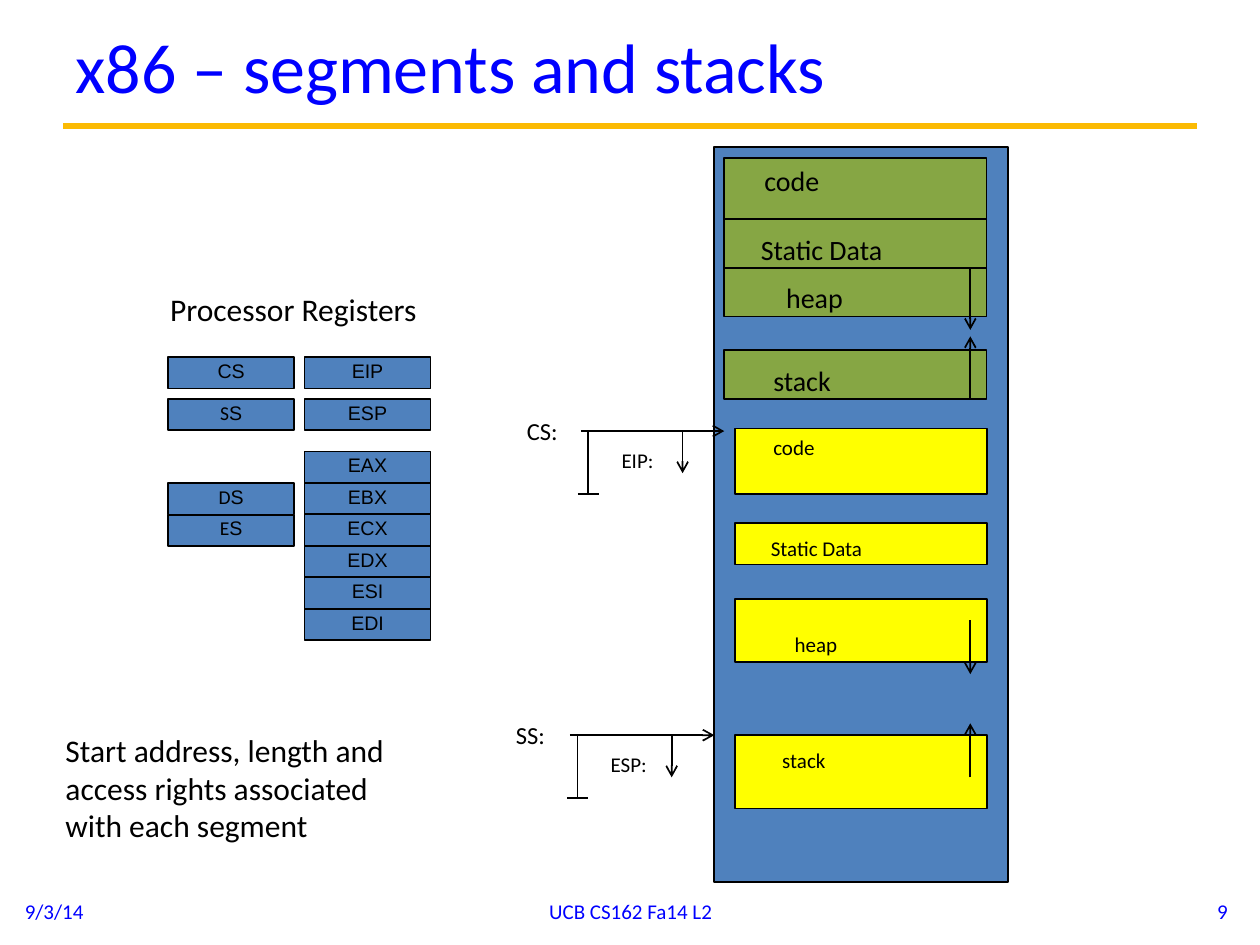
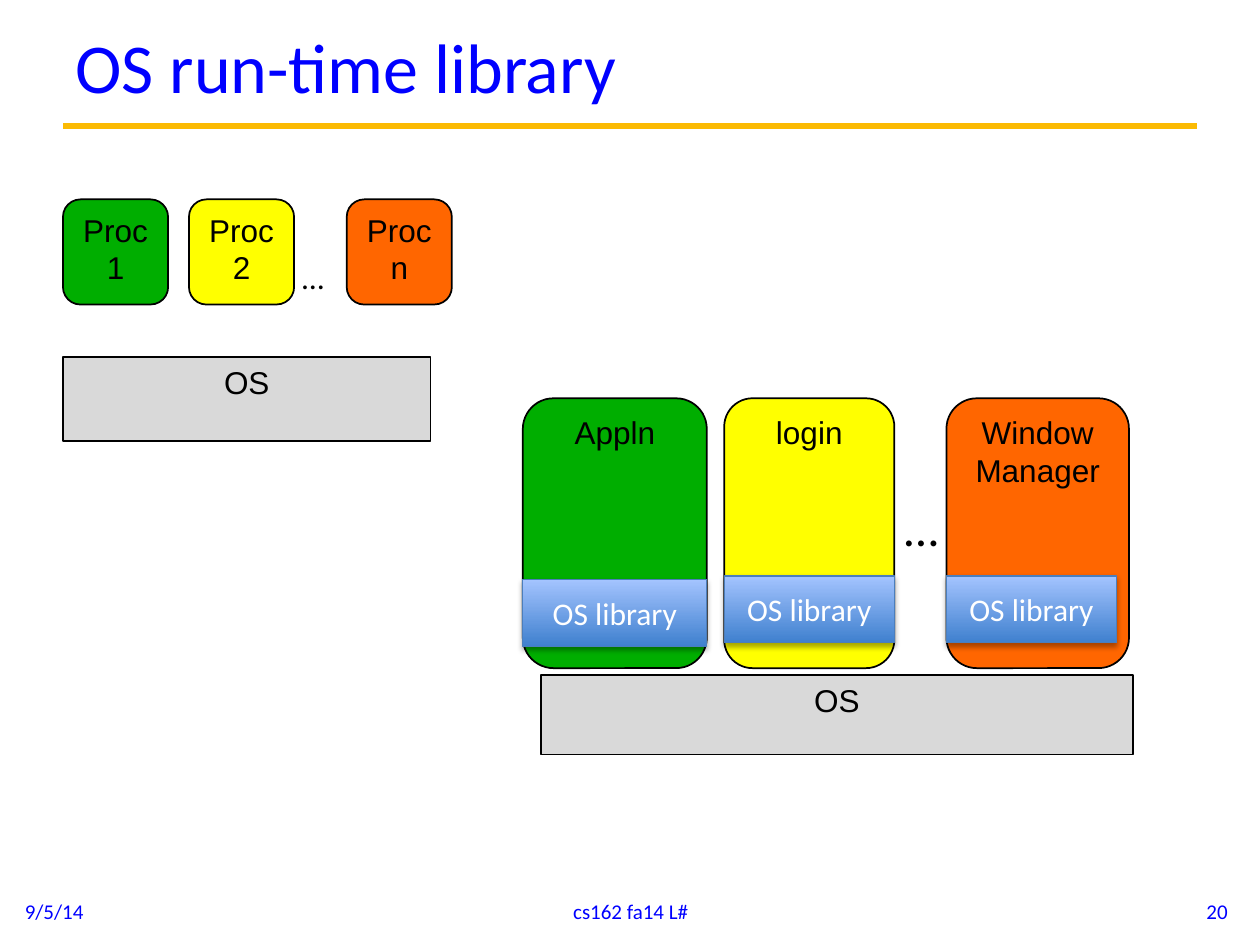
import pptx
import pptx.dml.color
import pptx.enum.shapes
import pptx.enum.text
import pptx.oxml
import pptx.oxml.ns
import pptx.oxml.xmlchemy
import pptx.util

Cm, Pt = pptx.util.Cm, pptx.util.Pt
KIND = pptx.enum.shapes.MSO_SHAPE
ALIGN = pptx.enum.text.PP_ALIGN
ANCHOR = pptx.enum.text.MSO_ANCHOR
qn = pptx.oxml.ns.qn
node = pptx.oxml.xmlchemy.OxmlElement

# Shared look
HUE = {
    "title": "0000FF", "rule": "FBBA03", "ink": "000000", "white": "FFFFFF",
    "blue": "4F81BD", "olive": "86A644", "yellow": "FFFF00", "green": "00AE00",
    "orange": "FF6600", "grey": "D9D9D9",
    "deep": "3F80CE", "pale": "A4C4FF", "edge": "4B7EBC",
}
FOOT = [(0.25, 5.92, ALIGN.LEFT), (8.69, 8.05, ALIGN.CENTER),
        (19.08, 5.92, ALIGN.RIGHT)]

# Segments slide, lengths in cm
SEGS = {"title": "x86 – segments and stacks",
        "foot": ("9/3/14", "UCB CS162 Fa14 L2", "9")}
REG_W, REG_H = 2.54, 0.635
SEG_X, GEN_X = 3.39, 6.14
REGS = [  # column, top of first, names stacked downward
    (SEG_X, 7.2, ["CS"]), (SEG_X, 8.04, ["SS"]), (SEG_X, 9.74, ["DS", "ES"]),
    (GEN_X, 7.2, ["EIP"]), (GEN_X, 8.04, ["ESP"]),
    (GEN_X, 9.1, ["EAX", "EBX", "ECX", "EDX", "ESI", "EDI"]),
]
MEMORY = (14.4, 2.97, 5.92, 14.81)
BLOCKS = [  # fill, left, width, text size, (top, height, label, its left, top, width)
    ("olive", 14.6, 5.29, 16, [
        (3.18, 1.24, "code", 15.16, 3.18, 1.98),
        (4.42, 0.98, "Static Data", 15.09, 4.57, 3.76),
        (5.4, 0.98, "heap", 15.6, 5.54, 2.03),
        (7.06, 0.98, "stack", 15.34, 7.21, 2.13)]),
    ("yellow", 14.82, 5.08, 12, [
        (8.64, 1.32, "code", 15.34, 8.64, 1.65),
        (10.54, 0.84, "Static Data", 15.29, 10.67, 2.97),
        (12.07, 1.27, "heap", 15.77, 12.6, 1.68),
        (14.82, 1.48, "stack", 15.52, 14.94, 1.73)]),
]
GROW_X = 19.56
GROW = [(8.04, 6.78), (5.4, 6.65), (15.67, 14.58), (12.5, 13.59)]
BASES = [("CS:", "EIP:", 11.86, 8.69, 14.6), ("SS:", "ESP:", 11.64, 14.82, 14.4)]
NOTES = [
    ("Processor Registers", (3.18, 5.72, 6.78, 1.02)),
    ("Start address, length and access rights associated with each segment",
     (1.07, 14.61, 7.82, 2.57)),
]

# Library slide, lengths in cm
LIBS = {"title": "OS run-time library", "foot": ("9/5/14", "cs162 fa14 L#", "20")}
KERNELS = [(1.27, 7.2, 7.41, 1.69), (10.9, 13.61, 11.94, 1.6)]
PROCS = [("Proc 1", "green", 1.27), ("Proc 2", "yellow", 3.81),
         ("Proc n", "orange", 6.99)]
APPS = [  # name, fill, left, width, library top, library width
    ("Appln", "green", 10.54, 3.71, 11.68, 3.71),
    ("login", "yellow", 14.6, 3.43, 11.61, 3.43),
    ("Window Manager", "orange", 19.08, 3.68, 11.61, 3.43)]
DOTS = [(18, (5.84, 5.08, 1.14, 1.02)), (28, (17.98, 9.91, 1.65, 1.45))]


def rgb(hue):
    return pptx.dml.color.RGBColor.from_string(HUE[hue])


def cm(nums):
    return [Cm(n) for n in nums]


def style(par, size, hue="ink", face="Calibri", align=ALIGN.LEFT):
    par.alignment = align
    par.font.size, par.font.name = Pt(size), face
    par.font.color.rgb = rgb(hue)


def label(slide, text, at, size, hue="ink", align=ALIGN.LEFT, anchor=ANCHOR.TOP):
    frame = slide.shapes.add_textbox(*cm(at)).text_frame
    frame.word_wrap, frame.vertical_anchor = True, anchor
    frame.text = text
    style(frame.paragraphs[0], size, hue, align=align)


def block(slide, at, fill, text="", size=18, kind=KIND.RECTANGLE):
    shape = slide.shapes.add_shape(kind, *cm(at))
    shape.shadow.inherit = False
    shape.fill.solid()
    shape.fill.fore_color.rgb = rgb(fill)
    shape.line.color.rgb, shape.line.width = rgb("ink"), Pt(1)
    if text:
        shape.text_frame.text = text
        shape.text_frame.vertical_anchor = ANCHOR.TOP
        style(shape.text_frame.paragraphs[0], size, face="Arial", align=ALIGN.CENTER)
    return shape


def line(slide, ends, arrow=False, hue="ink", width=1):
    kind = pptx.enum.shapes.MSO_CONNECTOR.STRAIGHT
    wire = slide.shapes.add_connector(kind, *cm(ends))
    wire.line.color.rgb, wire.line.width = rgb(hue), Pt(width)
    props = wire._element.spPr
    if arrow:
        tail = node("a:tailEnd")
        tail.set("type", "arrow")
        props.find(qn("a:ln")).append(tail)
    props.append(node("a:effectLst"))


def start(deck, page):
    """Add a slide with title, rule and footer."""
    slide = deck.slides.add_slide(deck.slide_layouts[5])
    line(slide, (1.27, 2.54, 24.13, 2.54), hue="rule", width=3.75)
    title = slide.shapes.title
    title.left, title.top, title.width, title.height = cm((1.27, 0.1, 22.86, 2.44))
    title.text_frame.text = page["title"]
    title.text_frame.vertical_anchor = ANCHOR.MIDDLE
    style(title.text_frame.paragraphs[0], 40, "title")
    for text, (x, w, align) in zip(page["foot"], FOOT):
        label(slide, text, (x, 17.86, w, 1.02), 12, "title", align, ANCHOR.MIDDLE)
    return slide


def library(slide, at):
    """Glossy box with a soft shadow below."""
    shape = block(slide, at, "deep", "OS library")
    shape.fill.gradient()
    shape.fill.gradient_angle = 90
    for stop, hue in zip(shape.fill.gradient_stops, ("deep", "pale")):
        stop.color.rgb = rgb(hue)
    shape.line.color.rgb, shape.line.width = rgb("edge"), Pt(0.75)
    shape.text_frame.vertical_anchor = ANCHOR.MIDDLE
    style(shape.text_frame.paragraphs[0], 18, "white", align=ALIGN.CENTER)
    shade = pptx.oxml.parse_xml(
        f'<a:outerShdw {pptx.oxml.ns.nsdecls("a")} blurRad="40000" dist="23000" '
        'dir="5400000" rotWithShape="0"><a:srgbClr val="000000">'
        '<a:alpha val="35000"/></a:srgbClr></a:outerShdw>')
    shape._element.spPr.find(qn("a:effectLst")).append(shade)


def segments(deck):
    slide = start(deck, SEGS)
    # Registers
    for x, top, names in REGS:
        for i, name in enumerate(names):
            box = block(slide, (x, top + i * REG_H, REG_W, REG_H), "blue", name, 11.2)
            par = box.text_frame.paragraphs[0]
            par.line_spacing = 0.8
            if name in ("SS", "DS", "ES"):
                par.runs[0].text = name[0]
                par.runs[0].font.name = "Calibri"
                par.add_run().text = name[1]
    # Memory and its segments
    block(slide, MEMORY, "blue")
    for fill, x, w, size, rows in BLOCKS:
        for top, h, text, tx, ty, tw in rows:
            block(slide, (x, top, w, h), fill)
            label(slide, text, (tx, ty, tw, 0.76), size)
    for y1, y2 in GROW:
        line(slide, (GROW_X, y1, GROW_X, y2), True)
    # Segment bases with limit bar and offset arrow
    for base, off, x, y, tip in BASES:
        label(slide, base, (x - 1.49, y - 0.42, 1.34, 0.86), 14)
        line(slide, (x - 0.15, y, tip, y), True)
        line(slide, (x, y, x, y + 1.27))
        line(slide, (x - 0.21, y + 1.27, x + 0.21, y + 1.27))
        line(slide, (x + 1.9, y, x + 1.9, y + 0.85), True)
        label(slide, off, (x + 0.42, y + 0.21, 1.5, 0.76), 12)
    for text, at in NOTES:
        label(slide, text, at, 18)


def libraries(deck):
    slide = start(deck, LIBS)
    for at in KERNELS:
        block(slide, at, "grey", "OS")
    for name, fill, x in PROCS:
        block(slide, (x, 4.02, 2.12, 2.12), fill, name, kind=KIND.ROUNDED_RECTANGLE)
    for name, fill, x, w, top, wide in APPS:
        block(slide, (x, 8.03, w, 5.44), fill, name, kind=KIND.ROUNDED_RECTANGLE)
        library(slide, (x, top, wide, 1.35))
    for size, at in DOTS:
        label(slide, "…", at, size)


def main():
    deck = pptx.Presentation()
    deck.slide_width, deck.slide_height = Cm(25.4), Cm(19.05)
    segments(deck)
    libraries(deck)
    deck.save("out.pptx")


if __name__ == "__main__":
    main()
